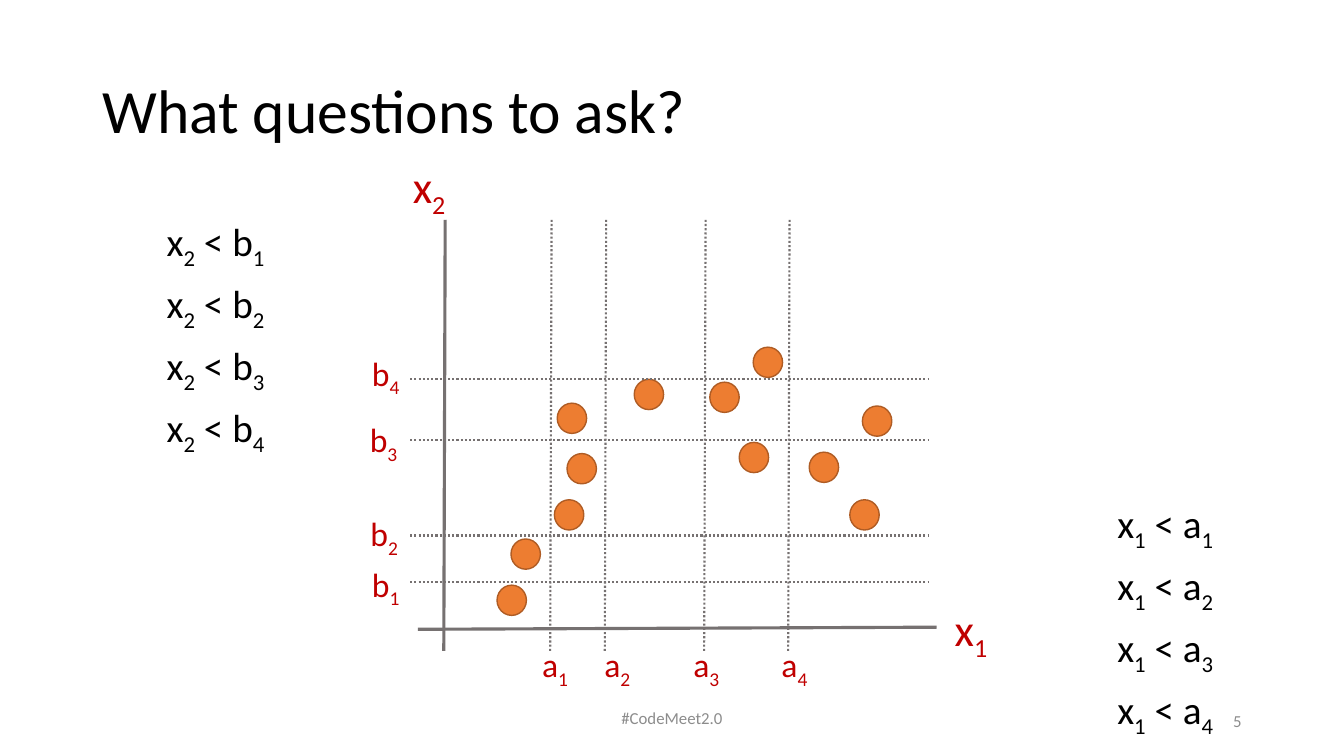
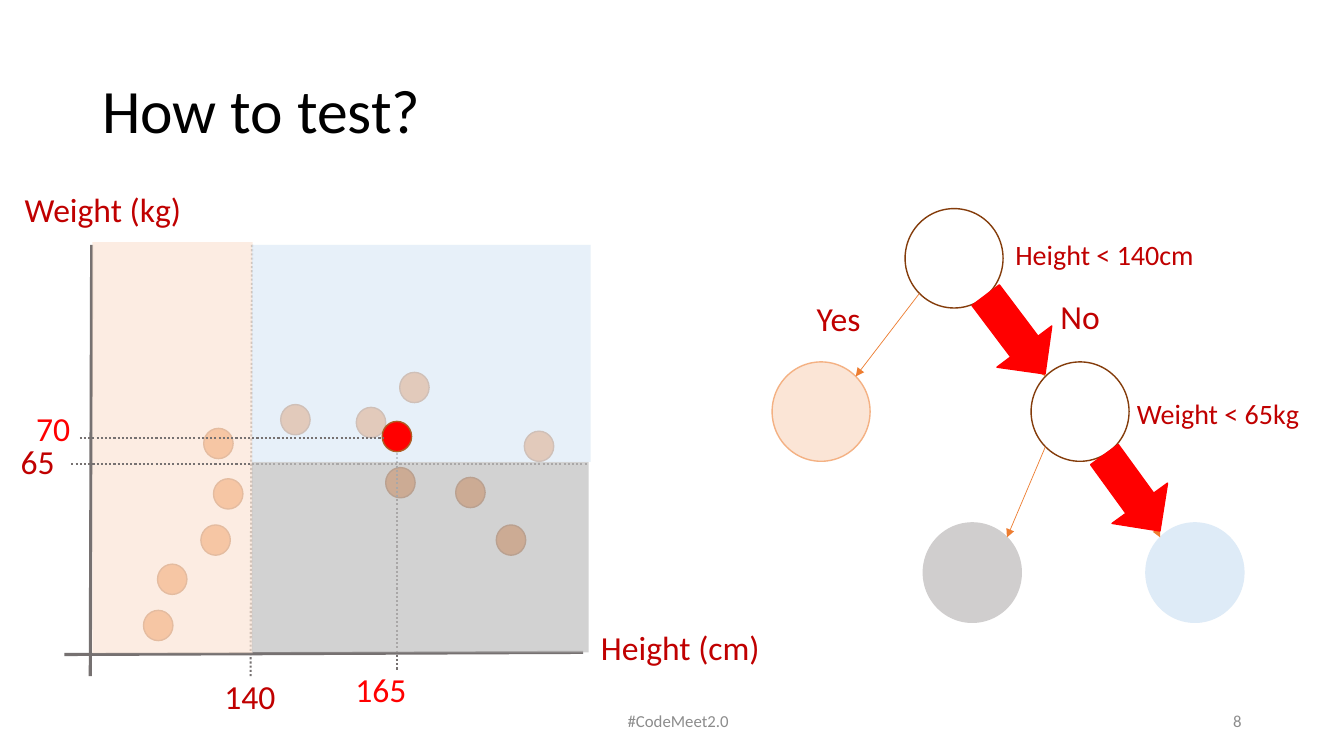
from lxml.etree import SubElement
from pptx import Presentation
from pptx.dml.color import RGBColor
from pptx.enum.dml import MSO_LINE
from pptx.enum.shapes import MSO_CONNECTOR, MSO_SHAPE
from pptx.enum.text import MSO_ANCHOR, PP_ALIGN
from pptx.oxml.ns import qn
from pptx.util import Pt

FONT = "Calibri"
BLACK = "000000"
GRAY = "8C8C8C"
AXIS = "767171"
DARK_RED = "C00000"
RED = "FF0000"
ORANGE = "ED7D31"
DOT_LINE = "AF5C24"
BROWN = "843C0B"
PEACH = "FBE5D6"
BLUE = "DEEBF7"
SILVER = "D0CECE"

FOOTER = "#CodeMeet2.0"
DOT_SIZE = (21, 21.6)
NODE_SIZE = (70, 71)
NODE_INSET = 0.146
AXIS_HEIGHT = 308
DOTS = [
    (220, 91), (189, 116), (289, 200), (210, 159), (135, 114), (78, 200),
    (87, 167), (260, 166), (47, 228), (37, 261), (80, 131),
]


def color(value):
    return RGBColor.from_string(value)


def add_text(page, lines, left, top, width, height, size, ink=DARK_RED,
             align=PP_ALIGN.CENTER, anchor=MSO_ANCHOR.TOP, leading=None, before=None):
    box = page.shapes.add_textbox(Pt(left), Pt(top), Pt(width), Pt(height))
    frame = box.text_frame
    frame.word_wrap = True
    frame.vertical_anchor = anchor
    for index, line in enumerate(lines):
        para = frame.paragraphs[0] if index == 0 else frame.add_paragraph()
        para.alignment = align
        para.line_spacing = leading
        if before is not None:
            para.space_before = Pt(before)
        para.font.name = FONT
        para.font.size = Pt(size)
        para.font.color.rgb = color(ink)
        add_spans(para, line)


def add_spans(para, line):
    first, *rest = line.split("_")
    para.add_run().text = first
    for piece in rest:
        span = para.add_run()
        span.text = piece[0]
        span._r.get_or_add_rPr().set("baseline", "-25000")
        if piece[1:]:
            para.add_run().text = piece[1:]


def add_title(page, title):
    add_text(page, [title], 66, 29, 828, 104, 44, BLACK, PP_ALIGN.LEFT,
             MSO_ANCHOR.MIDDLE, 0.9)


def add_footer(page, number, left, top):
    add_text(page, [number], 678, 500.5, 216, 29, 12, GRAY, PP_ALIGN.RIGHT,
             MSO_ANCHOR.MIDDLE)
    add_text(page, [FOOTER], left, top, 324, 29, 12, GRAY, anchor=MSO_ANCHOR.MIDDLE)


def add_questions(page, feature, threshold, left, top):
    lines = [f"{feature} < {threshold}_{index}" for index in range(1, 5)]
    add_text(page, lines, left, top, 97, 177, 28, BLACK, PP_ALIGN.LEFT,
             leading=0.9, before=10)


def add_shape(page, kind, left, top, width, height, fill=None, outline=None, opacity=None):
    shape = page.shapes.add_shape(kind, Pt(left), Pt(top), Pt(width), Pt(height))
    shape.shadow.inherit = False
    if fill:
        shape.fill.solid()
        shape.fill.fore_color.rgb = color(fill)
    else:
        shape.fill.background()
    if outline:
        shape.line.color.rgb = color(outline)
        shape.line.width = Pt(1)
    else:
        shape.line.fill.background()
    if opacity:
        tint = shape.fill._xPr.find(qn("a:solidFill"))[0]
        SubElement(tint, qn("a:alpha")).set("val", str(opacity * 1000))
    return shape


def add_dot(page, left, top, fill=ORANGE):
    add_shape(page, MSO_SHAPE.OVAL, left, top, *DOT_SIZE, fill, DOT_LINE)


def add_zone(page, left, top, width, height, fill):
    add_shape(page, MSO_SHAPE.RECTANGLE, left, top, width, height, fill, opacity=70)


def add_node(page, left, top, fill, outline):
    add_shape(page, MSO_SHAPE.OVAL, left, top, *NODE_SIZE, fill, outline)


def add_path_arrow(page, left, top, width, rotation):
    arrow = add_shape(page, MSO_SHAPE.RIGHT_ARROW, left, top, width, 49, RED, RED)
    arrow.rotation = rotation


def add_line(page, start, end, ink=AXIS, width=2.25, dotted=False, arrow=False):
    line = page.shapes.add_connector(
        MSO_CONNECTOR.STRAIGHT, *(Pt(value) for value in (*start, *end)))
    line.line.color.rgb = color(ink)
    line.line.width = Pt(width)
    if dotted:
        line.line.dash_style = MSO_LINE.ROUND_DOT
    if arrow:
        SubElement(line.line._get_or_add_ln(), qn("a:tailEnd")).set("type", "triangle")
    SubElement(line._element.spPr, qn("a:effectLst"))


def add_guide(page, start, end):
    add_line(page, start, end, width=1.5, dotted=True)


def add_upright_guide(page, left, top):
    add_guide(page, (left, top), (left - 1, top + AXIS_HEIGHT))


def add_branch(page, parent, child, side):
    width, height = NODE_SIZE
    near, far = width * NODE_INSET, width * (1 - NODE_INSET)
    start_left, end_left = (near, far) if side == "left" else (far, near)
    start = (parent[0] + start_left, parent[1] + height * (1 - NODE_INSET))
    end = (child[0] + end_left, child[1] + height * NODE_INSET)
    add_line(page, start, end, ORANGE, 0.5, arrow=True)


def add_plot(page, left, top, last_dot):
    for dot_left, dot_top in [*DOTS, last_dot]:
        add_dot(page, left + dot_left, top + dot_top)
    add_line(page, (left, top), (left - 1, top + AXIS_HEIGHT))
    add_line(page, (left + 351, top + 291), (left - 19.5, top + 292.5))


def build_questions_page(page):
    add_title(page, "What questions to ask?")
    add_questions(page, "x_1", "a", 791, 353.5)
    add_questions(page, "x_2", "b", 112, 152)
    add_plot(page, 318, 157, (298, 133))
    for name, left, top in [("x_1", 673, 426), ("x_2", 286, 109.5)]:
        add_text(page, [name], left, top, 41, 46, 32)

    columns = [(394, 376), (433, 420.5), (504, 484), (564, 547)]
    for index, (guide, label) in enumerate(columns, 1):
        add_upright_guide(page, guide, 157)
        add_text(page, [f"a_{index}"], label, 456.5, 41, 36, 24)

    rows = [(416, 255, 399), (382.5, 254, 363), (314, 253.5, 296), (271, 255, 248.5)]
    for index, (guide, left, top) in enumerate(rows, 1):
        add_guide(page, (293, guide), (663, guide))
        add_text(page, [f"b_{index}"], left, top, 41, 36, 24)
    add_footer(page, "5", 318, 498)


def add_tree(page):
    root, light, split = (646.5, 149), (551.5, 258.5), (736.5, 258.5)
    gray, blue = (659.5, 373.5), (818.5, 373.5)
    for place, fill, outline in [
        (root, None, BROWN), (light, PEACH, "F4B183"), (split, None, BROWN),
        (gray, SILVER, SILVER), (blue, BLUE, BLUE),
    ]:
        add_node(page, *place, fill, outline)
    for parent, child, side in [
        (root, light, "left"), (root, split, "right"),
        (split, gray, "left"), (split, blue, "right"),
    ]:
        add_branch(page, parent, child, side)
    add_path_arrow(page, 690, 214.5, 70.5, 53)
    add_path_arrow(page, 775, 327.5, 67.5, 54)


def build_test_page(page):
    add_title(page, "How to test?")
    add_plot(page, 65.5, 175, (309, 133))
    add_upright_guide(page, 180, 175)
    add_zone(page, 66, 173, 114.5, 293.5, PEACH)
    add_guide(page, (283.5, 320.5), (283.5, 479.5))
    add_guide(page, (51, 331.5), (420.5, 331.5))
    add_zone(page, 180, 330, 240.5, 136, "BFBFBF")
    add_zone(page, 180, 175, 242, 155, BLUE)
    add_dot(page, 273, 301, RED)
    add_guide(page, (57, 313), (273.5, 313))
    add_tree(page)

    for label, left, top, width, size, ink in [
        ("Height (cm)", 420.5, 444, 131, 24, DARK_RED),
        ("Weight (kg)", 10, 131.5, 127, 24, DARK_RED),
        ("140", 147, 479.5, 63, 24, DARK_RED),
        ("165", 240.5, 474.5, 63, 24, RED),
        ("65", 3.5, 311.5, 47, 24, DARK_RED),
        ("70", 6.5, 287.5, 63, 24, RED),
        ("Height < 140cm", 717, 166, 144, 20, DARK_RED),
        ("Weight < 65kg", 804, 279.5, 132, 20, DARK_RED),
        ("Yes", 567.5, 209.5, 63, 24, DARK_RED),
        ("No", 740, 207.5, 63, 24, DARK_RED),
    ]:
        add_text(page, [label], left, top, width, size * 1.5, size, ink)
    add_footer(page, "8", 322.5, 500.5)


def main():
    deck = Presentation()
    deck.slide_width = Pt(960)
    deck.slide_height = Pt(540)
    for build in (build_questions_page, build_test_page):
        build(deck.slides.add_slide(deck.slide_layouts[6]))
    deck.save("out.pptx")


if __name__ == "__main__":
    main()
